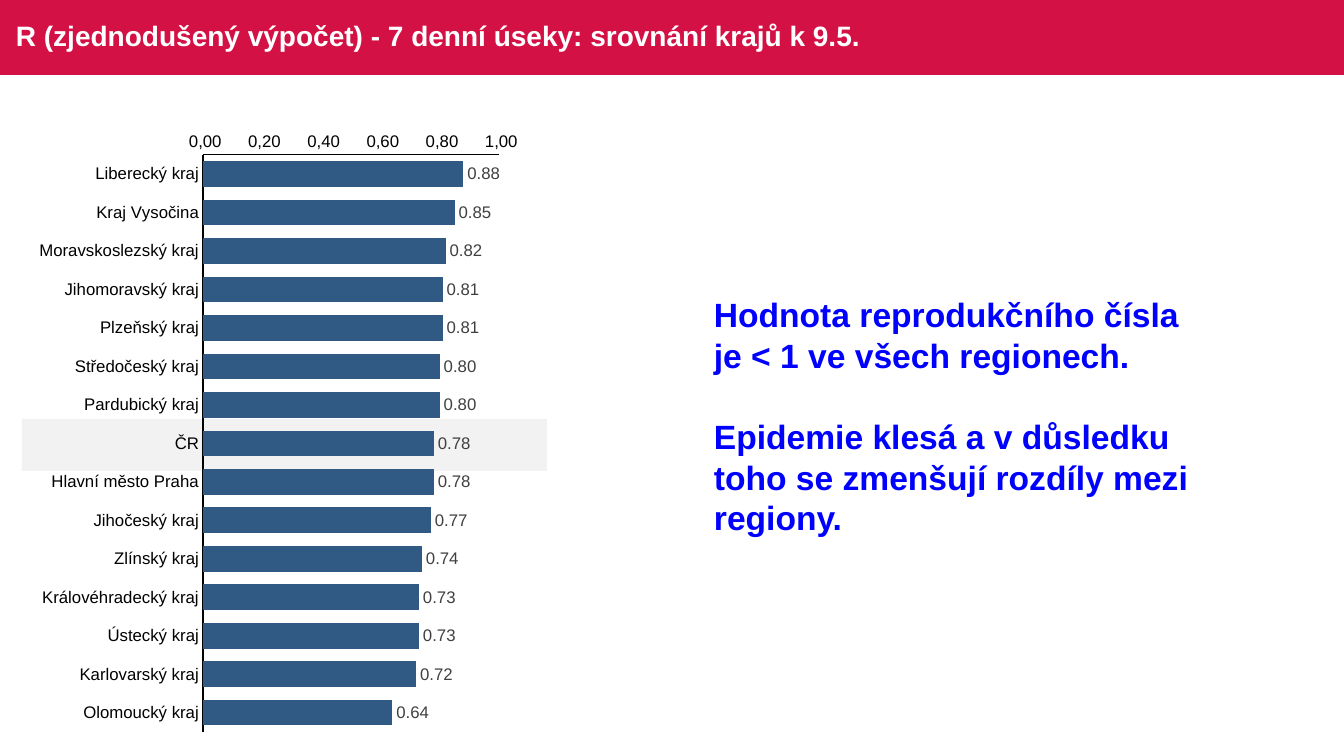
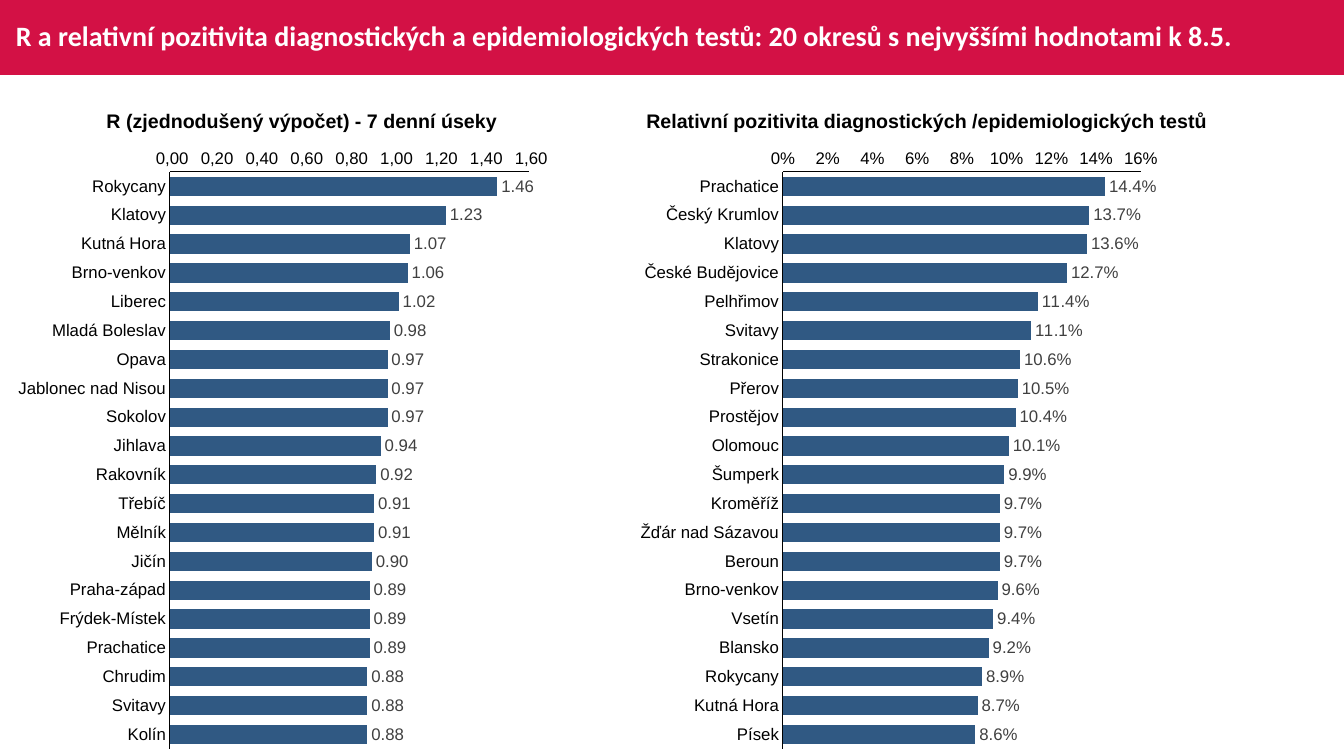
from pptx import Presentation
from pptx.chart.data import CategoryChartData
from pptx.dml.color import RGBColor
from pptx.enum.chart import XL_CHART_TYPE, XL_LABEL_POSITION, XL_TICK_MARK
from pptx.enum.shapes import MSO_SHAPE
from pptx.enum.text import MSO_ANCHOR, PP_ALIGN
from pptx.oxml import parse_xml
from pptx.oxml.ns import nsdecls
from pptx.util import Emu, Pt

WIDE, HIGH = 1344, 756
SCALE = 12192000 / WIDE
BAND = 75
RED, BLUE, INK, GREY = "D31145", "305983", "000000", "404040"
PALE, WHITE, BRIGHT = "F2F2F2", "FFFFFF", "0000FF"

RATE = {
    "axis": r"[$-10405]#\ ##0.00;\(#\ ##0.00\)",
    "label": "#,##0.00",
    "step": 0.2,
}
SHARE = {"axis": "0%", "label": "0.0%", "step": 0.02}

REGIONS = {
    "Liberecký kraj": 0.88, "Kraj Vysočina": 0.85, "Moravskoslezský kraj": 0.82,
    "Jihomoravský kraj": 0.81, "Plzeňský kraj": 0.81, "Středočeský kraj": 0.80,
    "Pardubický kraj": 0.80, "ČR": 0.78, "Hlavní město Praha": 0.78,
    "Jihočeský kraj": 0.77, "Zlínský kraj": 0.74, "Královéhradecký kraj": 0.73,
    "Ústecký kraj": 0.73, "Karlovarský kraj": 0.72, "Olomoucký kraj": 0.64,
}
SPREAD = {
    "Rokycany": 1.46, "Klatovy": 1.23, "Kutná Hora": 1.07, "Brno-venkov": 1.06,
    "Liberec": 1.02, "Mladá Boleslav": 0.98, "Opava": 0.97,
    "Jablonec nad Nisou": 0.97, "Sokolov": 0.97, "Jihlava": 0.94,
    "Rakovník": 0.92, "Třebíč": 0.91, "Mělník": 0.91, "Jičín": 0.90,
    "Praha-západ": 0.89, "Frýdek-Místek": 0.89, "Prachatice": 0.89,
    "Chrudim": 0.88, "Svitavy": 0.88, "Kolín": 0.88,
}
TESTS = {
    "Prachatice": 0.144, "Český Krumlov": 0.137, "Klatovy": 0.136,
    "České Budějovice": 0.127, "Pelhřimov": 0.114, "Svitavy": 0.111,
    "Strakonice": 0.106, "Přerov": 0.105, "Prostějov": 0.104, "Olomouc": 0.101,
    "Šumperk": 0.099, "Kroměříž": 0.097, "Žďár nad Sázavou": 0.097,
    "Beroun": 0.097, "Brno-venkov": 0.096, "Vsetín": 0.094, "Blansko": 0.092,
    "Rokycany": 0.089, "Kutná Hora": 0.087, "Písek": 0.086,
}


def px(*sizes):
    """Turn pixel lengths into EMU."""
    return [Emu(round(size * SCALE)) for size in sizes]


def tint(code):
    """Turn a hex string into a colour."""
    return RGBColor.from_string(code)


def put(item, values):
    """Set each attribute named in a dict."""
    for name, value in values.items():
        setattr(item, name, value)


def style(font, size, color, bold=False, face="Arial"):
    """Format a font."""
    put(font, {"size": Pt(size), "bold": bold, "name": face})
    font.color.rgb = tint(color)


def paint(fill, color):
    """Fill with one solid colour."""
    fill.solid()
    fill.fore_color.rgb = tint(color)


def block(slide, box, color):
    """Draw a plain rectangle."""
    shape = slide.shapes.add_shape(MSO_SHAPE.RECTANGLE, *px(*box))
    shape.shadow.inherit = False
    shape.line.fill.background()
    paint(shape.fill, color)


def write(slide, box, lines, look, frame=None, para=None, gap=0):
    """Add a text box with one paragraph per line."""
    text = slide.shapes.add_textbox(*px(*box)).text_frame
    put(text, {"word_wrap": True, **(frame or {})})
    for index, line in enumerate(lines):
        item = text.paragraphs[0] if index == 0 else text.add_paragraph()
        put(item, para or {})
        if index:
            item.space_before = Pt(gap)
        run = item.add_run()
        run.text = line
        style(run.font, **look)


def head(slide, title, face):
    """Draw the title band and its text."""
    block(slide, (0, 0, WIDE, BAND), RED)
    look = {"size": 20, "color": WHITE, "bold": True, "face": face}
    write(slide, (6, 0, 1276, BAND), [title], look,
          {"vertical_anchor": MSO_ANCHOR.MIDDLE}, {"line_spacing": 0.9})


def label(slide, box, title):
    """Write a centred chart heading."""
    look = {"size": 14, "color": INK, "bold": True}
    write(slide, box, [title], look, {"word_wrap": False},
          {"alignment": PP_ALIGN.CENTER})


def place(chart, box, plot):
    """Pin the plot area and clear the chart background."""
    left, top, width, height = box
    parts = {
        "x": (plot[0] - left) / width,
        "y": (plot[1] - top) / height,
        "w": plot[2] / width,
        "h": plot[3] / height,
    }
    modes = "".join(f'<c:{key}Mode val="edge"/>' for key in "xy")
    sizes = "".join(f'<c:{key} val="{part:.4f}"/>' for key, part in parts.items())
    root = chart.element.find("{*}chart")
    area = root.find("{*}plotArea")
    for old in area.findall("{*}layout"):
        area.remove(old)
    area.insert(0, parse_xml(
        f'<c:layout {nsdecls("c")}><c:manualLayout>'
        f'<c:layoutTarget val="inner"/>{modes}{sizes}'
        '</c:manualLayout></c:layout>'))
    clear = (f'<c:spPr {nsdecls("c", "a")}><a:noFill/>'
             '<a:ln><a:noFill/></a:ln></c:spPr>')
    area.append(parse_xml(clear))
    root.addnext(parse_xml(clear))


def trim(axis, values):
    """Format one chart axis."""
    put(axis, {"has_major_gridlines": False,
               "major_tick_mark": XL_TICK_MARK.NONE,
               "minor_tick_mark": XL_TICK_MARK.NONE, **values})
    style(axis.tick_labels.font, 12, INK)
    axis.format.line.width = Pt(0.75)
    paint(axis.format.line.fill, INK)


def bars(slide, box, plot, values, kind, top):
    """Add a horizontal bar chart with the first row on top."""
    data = CategoryChartData()
    data.categories = list(values)
    data.add_series("Series 1", list(values.values()))
    chart = slide.shapes.add_chart(
        XL_CHART_TYPE.BAR_CLUSTERED, *px(*box), data).chart
    put(chart, {"has_title": False, "has_legend": False})
    style(chart.font, 10, INK)
    trim(chart.category_axis, {"reverse_order": True})
    trim(chart.value_axis, {"minimum_scale": 0, "maximum_scale": top,
                            "major_unit": kind["step"]})
    put(chart.value_axis.tick_labels, {"number_format": kind["axis"],
                                       "number_format_is_linked": False})
    group = chart.plots[0]
    put(group, {"gap_width": 50, "vary_by_categories": False,
                "has_data_labels": True})
    put(group.data_labels, {"show_value": True,
                            "number_format": kind["label"],
                            "number_format_is_linked": False,
                            "position": XL_LABEL_POSITION.OUTSIDE_END})
    style(group.data_labels.font, 12, GREY)
    paint(group.series[0].format.fill, BLUE)
    place(chart, box, plot)


def regions(slide):
    """Build the comparison of regions."""
    block(slide, (22, 419, 525, 52), PALE)
    head(slide, "R (zjednodušený výpočet) - 7 denní úseky: srovnání krajů k 9.5.",
         "Arial")
    bars(slide, (30, 121, 498, 624), (203, 155, 296, 577), REGIONS, RATE, 1)
    notes = ["Hodnota reprodukčního čísla je < 1 ve všech regionech.",
             "Epidemie klesá a v důsledku toho se zmenšují rozdíly mezi regiony."]
    write(slide, (704, 289, 513, 254), notes,
          {"size": 24, "color": BRIGHT, "bold": True},
          para={"line_spacing": Pt(29)}, gap=29)


def towns(slide):
    """Build the two district rankings."""
    head(slide, "R a relativní pozitivita diagnostických a epidemiologických testů: "
         "20 okresů s nejvyššími hodnotami k 8.5.", "Calibri")
    bars(slide, (8, 138, 550, 624), (170, 172, 359, 577), SPREAD, RATE, 1.6)
    label(slide, (82, 104, 440, 34), "R (zjednodušený výpočet) - 7 denní úseky")
    bars(slide, (630, 138, 538, 624), (783, 172, 358, 577), TESTS, SHARE, 0.16)
    label(slide, (617, 104, 620, 34),
          "Relativní pozitivita diagnostických /epidemiologických testů")


def main():
    """Build and save the deck."""
    deck = Presentation()
    deck.slide_width, deck.slide_height = px(WIDE, HIGH)
    for build in (regions, towns):
        build(deck.slides.add_slide(deck.slide_layouts[6]))
    deck.save("out.pptx")


if __name__ == "__main__":
    main()
